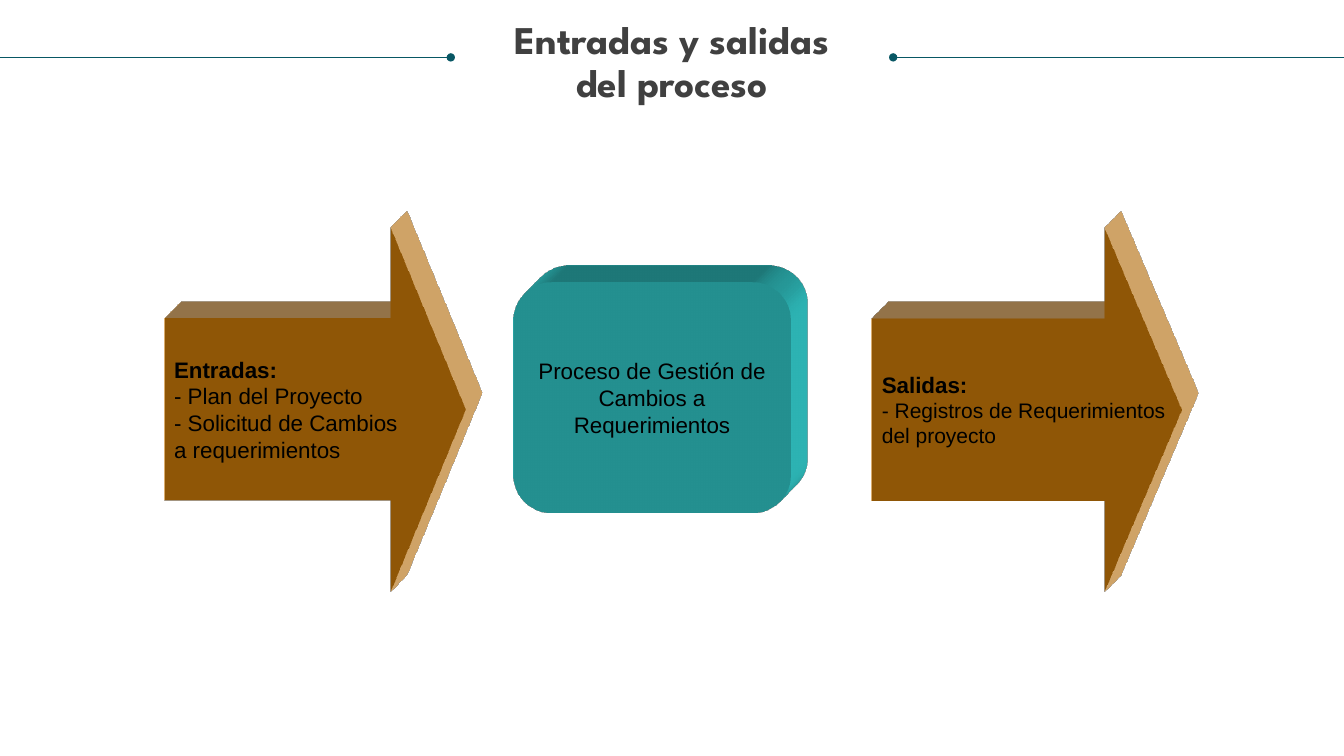
from lxml.etree import SubElement
from pptx import Presentation
from pptx.dml.color import RGBColor
from pptx.enum.shapes import MSO_CONNECTOR, MSO_SHAPE
from pptx.enum.text import MSO_ANCHOR, PP_ALIGN
from pptx.oxml import parse_xml
from pptx.oxml.ns import nsdecls, qn
from pptx.util import Pt

OCHRE = RGBColor(0xCB, 0x7A, 0x09)
SAND = RGBColor(0xF9, 0xC4, 0x7C)
TEAL = RGBColor(0x33, 0xCC, 0xCC)
PINE = RGBColor(0x08, 0x57, 0x64)
GREY = RGBColor(0x40, 0x40, 0x40)
BLACK = RGBColor(0, 0, 0)
WIDE, HIGH = 960, 540


def add_run(para, text, size, bold=False, color=BLACK, font="Arial"):
    run = para.add_run()
    run.text = text
    run.font.name = font
    run.font.size = Pt(size)
    run.font.bold = bold
    run.font.color.rgb = color


def add_depth(shape, color):
    scene = f"""<a:scene3d {nsdecls('a')}>
        <a:camera prst="legacyObliqueTopRight"/>
        <a:lightRig rig="legacyFlat3" dir="b"/></a:scene3d>"""
    solid = f"""<a:sp3d {nsdecls('a')} extrusionH="430200" prstMaterial="legacyMatte">
        <a:bevelT w="13500" h="13500" prst="angle"/>
        <a:bevelB w="13500" h="13500" prst="angle"/>
        <a:extrusionClr><a:srgbClr val="{color}"/></a:extrusionClr></a:sp3d>"""
    for xml in (scene, solid):
        shape._element.spPr.append(parse_xml(xml))


def add_block(slide, kind, box, fill, side):
    shape = slide.shapes.add_shape(kind, *map(Pt, box))
    shape.shadow.inherit = False
    shape.fill.solid()
    shape.fill.fore_color.rgb = fill
    shape.text_frame.vertical_anchor = MSO_ANCHOR.MIDDLE
    add_depth(shape, side)
    return shape


def add_arrow(slide, box, head, lines, size):
    arrow = add_block(slide, MSO_SHAPE.RIGHT_ARROW, box, OCHRE, SAND)
    arrow.adjustments[0] = 0.5
    arrow.adjustments[1] = 0.25
    arrow.line.color.rgb = OCHRE
    arrow.line.width = Pt(0.75)
    frame = arrow.text_frame
    frame.word_wrap = False
    para = frame.paragraphs[0]
    add_run(para, head, 16, bold=True)
    para.add_line_break()
    for num, line in enumerate(lines):
        if num:
            para = frame.add_paragraph()
        para.alignment = PP_ALIGN.LEFT
        add_run(para, line, size)


def add_process(slide, box, text):
    block = add_block(slide, MSO_SHAPE.ROUNDED_RECTANGLE, box, TEAL, TEAL)
    block.line.fill.background()
    frame = block.text_frame
    frame.word_wrap = True
    para = frame.paragraphs[0]
    para.alignment = PP_ALIGN.CENTER
    add_run(para, text, 16)


def add_rule(slide, start, end, y, tip):
    rule = slide.shapes.add_connector(
        MSO_CONNECTOR.STRAIGHT, Pt(start), Pt(y), Pt(end), Pt(y))
    rule.line.color.rgb = PINE
    rule.line.width = Pt(0.5)
    SubElement(rule.line._get_or_add_ln(), qn(tip), type="oval")
    SubElement(rule._element.spPr, qn("a:effectLst"))


def add_title(slide, box, lines):
    left, top, width, height = box
    mid = top + 26
    add_rule(slide, 638, WIDE, mid, "a:headEnd")
    frame = slide.shapes.add_textbox(*map(Pt, box)).text_frame
    frame.word_wrap = True
    frame.margin_left = frame.margin_right = 0
    frame.margin_top = frame.margin_bottom = 0
    for num, line in enumerate(lines):
        para = frame.add_paragraph() if num else frame.paragraphs[0]
        para.alignment = PP_ALIGN.CENTER
        para.line_spacing = 0.9
        add_run(para, line, 28, True, GREY, "League Spartan")
    add_rule(slide, 0, 322, mid, "a:tailEnd")


def main():
    deck = Presentation()
    deck.slide_width, deck.slide_height = Pt(WIDE), Pt(HIGH)
    slide = deck.slides.add_slide(deck.slide_layouts[6])
    add_arrow(slide, (117.3, 162.2, 215.5, 260.6), "Entradas:",
              ["- Plan del Proyecto", "- Solicitud de Cambios",
               "a requerimientos"], 16)
    add_process(slide, (366.5, 202, 198.5, 164.3),
                "Proceso de Gestión de Cambios a Requerimientos")
    add_arrow(slide, (622.8, 162.2, 221.2, 260.6), "Salidas:",
              ["- Registros de Requerimientos", "del proyecto"], 15)
    add_title(slide, (18, 15, 924, 122.4),
              ["Entradas y salidas", "del proceso"])
    deck.save("out.pptx")


if __name__ == "__main__":
    main()
